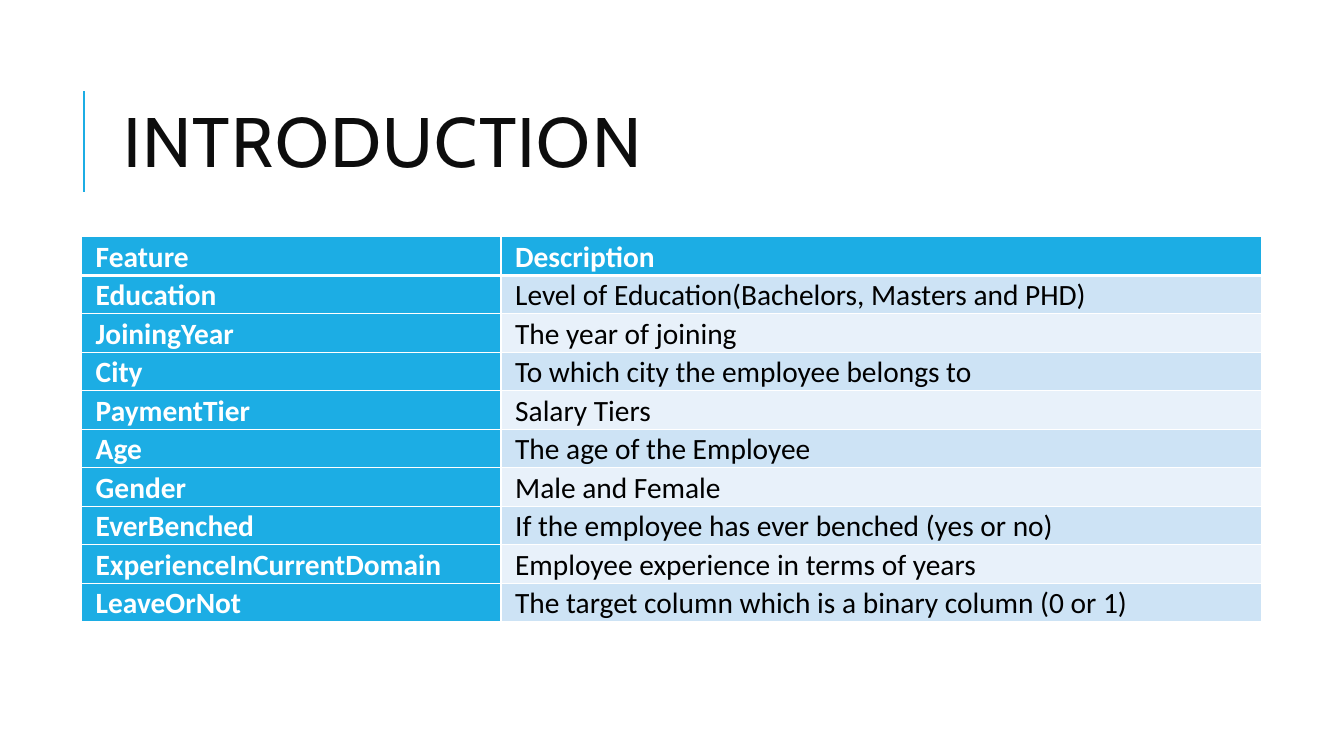
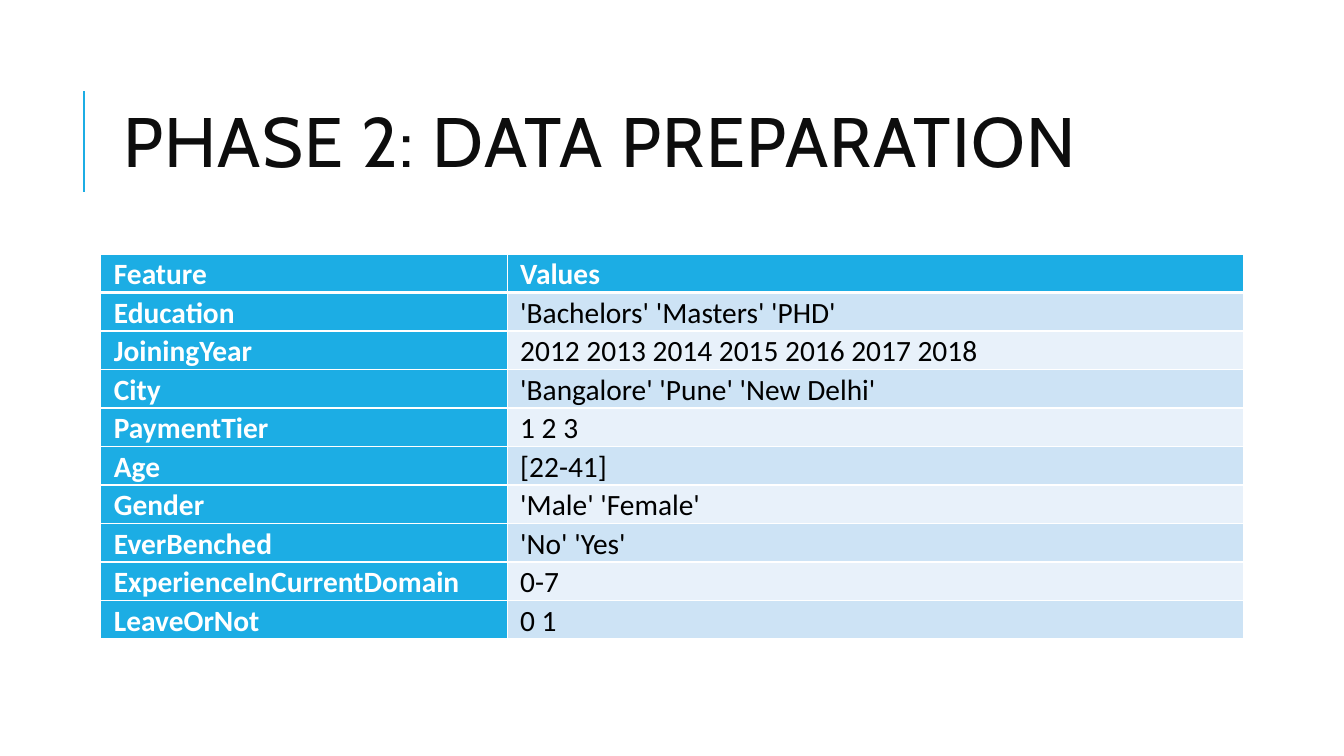
from dataclasses import dataclass

from lxml.etree import SubElement
from pptx import Presentation
from pptx.dml.color import RGBColor
from pptx.enum.shapes import MSO_CONNECTOR
from pptx.enum.text import MSO_ANCHOR, MSO_AUTO_SIZE, PP_ALIGN
from pptx.oxml.ns import qn
from pptx.util import Inches, Pt


@dataclass(frozen=True)
class Theme:
    accent: str = "1CADE4"
    heading: str = "0D0D0D"
    body: str = "000000"
    white: str = "FFFFFF"
    bands: tuple = ("CDE3F5", "E8F1FA")
    title_font: str = "Cabin"
    table_font: str = "Calibri"
    title_size: int = 50
    table_size: int = 21
    thin_rule: int = 1
    header_rule: int = 3


class Deck:
    def __init__(self, theme):
        self.theme = theme
        self.prs = Presentation()
        self.prs.slide_width = Inches(13.33)
        self.prs.slide_height = Inches(7.5)
        self.slide = None

    def add_slide(self, heading):
        self.slide = self.prs.slides.add_slide(self.prs.slide_layouts[5])
        background = self.slide.background.fill
        background.solid()
        background.fore_color.rgb = RGBColor.from_string(self.theme.white)
        self.accent_line()
        self.title(heading)

    def accent_line(self):
        line = self.slide.shapes.add_connector(
            MSO_CONNECTOR.STRAIGHT,
            Inches(0.83), Inches(1.9), Inches(0.83), Inches(0.9))
        line.line.color.rgb = RGBColor.from_string(self.theme.accent)
        line.line.width = Pt(1.5)
        SubElement(line._element.spPr, qn("a:effectLst"))

    def title(self, heading):
        title = self.slide.shapes.title
        title.left, title.top = Inches(1.12), Inches(0.64)
        title.width, title.height = Inches(10.63), Inches(1.64)
        frame = title.text_frame
        frame.word_wrap = True
        frame.auto_size = MSO_AUTO_SIZE.NONE
        frame.vertical_anchor = MSO_ANCHOR.MIDDLE
        paragraph = frame.paragraphs[0]
        paragraph.alignment = PP_ALIGN.LEFT
        paragraph.line_spacing = 0.8
        font = self.run(paragraph, heading, self.theme.title_font,
                        self.theme.title_size, self.theme.heading)
        font._element.set("spc", "100")

    def run(self, paragraph, text, name, size, color, bold=False):
        run = paragraph.add_run()
        run.text = text
        font = run.font
        font.name, font.size, font.bold = name, Pt(size), bold
        font.color.rgb = RGBColor.from_string(color)
        return font

    def table(self, rows, left, top, column_widths, row_height, inset):
        table = self.slide.shapes.add_table(
            len(rows), len(column_widths), Inches(left), Inches(top),
            Inches(sum(column_widths)), Inches(row_height * len(rows))).table
        table.horz_banding = False
        for column, width in zip(table.columns, column_widths):
            column.width = Inches(width)
        for r, row in enumerate(rows):
            for c, text in enumerate(row):
                self.cell(table.cell(r, c), text, r, c, inset)

    def cell(self, cell, text, row, column, inset):
        theme = self.theme
        is_head = row == 0 or column == 0
        # Heavy rule between the header row and the first data row
        self.border(cell, "L", theme.thin_rule)
        self.border(cell, "R", theme.thin_rule)
        self.border(cell, "T", theme.header_rule if row == 1 else theme.thin_rule)
        self.border(cell, "B", theme.header_rule if row == 0 else theme.thin_rule)
        fill = theme.accent if is_head else theme.bands[(row - 1) % 2]
        cell.fill.solid()
        cell.fill.fore_color.rgb = RGBColor.from_string(fill)
        cell.margin_left = cell.margin_right = Inches(inset)
        cell.margin_top = cell.margin_bottom = 0
        paragraph = cell.text_frame.paragraphs[0]
        paragraph.alignment = PP_ALIGN.JUSTIFY
        paragraph.line_spacing = 1.07
        self.run(paragraph, text, theme.table_font, theme.table_size,
                 theme.white if is_head else theme.body, is_head)

    def border(self, cell, side, points):
        properties = cell._tc.get_or_add_tcPr()
        line = SubElement(properties, qn(f"a:ln{side}"), w=str(Pt(points)))
        fill = SubElement(line, qn("a:solidFill"))
        SubElement(fill, qn("a:srgbClr"), val=self.theme.white)


FEATURES = ("Feature", "Education", "JoiningYear", "City", "PaymentTier",
            "Age", "Gender", "EverBenched", "ExperienceInCurrentDomain",
            "LeaveOrNot")
DESCRIPTIONS = (
    "Description",
    "Level of Education(Bachelors, Masters and PHD)",
    "The year of joining",
    "To which city the employee belongs to",
    "Salary Tiers",
    "The age of the Employee",
    "Male and Female",
    "If the employee has ever benched (yes or no)",
    "Employee experience in terms of years",
    "The target column which is a binary column (0 or 1)",
)
VALUES = (
    "Values",
    "'Bachelors' 'Masters' 'PHD'",
    "2012 2013 2014 2015 2016 2017 2018",
    "'Bangalore' 'Pune' 'New Delhi'",
    "1 2 3",
    "[22-41]",
    "'Male' 'Female'",
    "'No' 'Yes'",
    "0-7",
    "0 1",
)

deck = Deck(Theme())

# Slide 1: what each feature means
deck.add_slide("INTRODUCTION")
deck.table(list(zip(FEATURES, DESCRIPTIONS)), left=0.81, top=2.35,
           column_widths=(4.16, 7.54), row_height=0.37, inset=0.14)

# Slide 2: the values each feature takes
deck.add_slide("PHASE 2: DATA PREPARATION")
deck.table(list(zip(FEATURES, VALUES)), left=1, top=2.52,
           column_widths=(4.03, 7.3), row_height=0.36, inset=0.13)

deck.prs.save("out.pptx")
